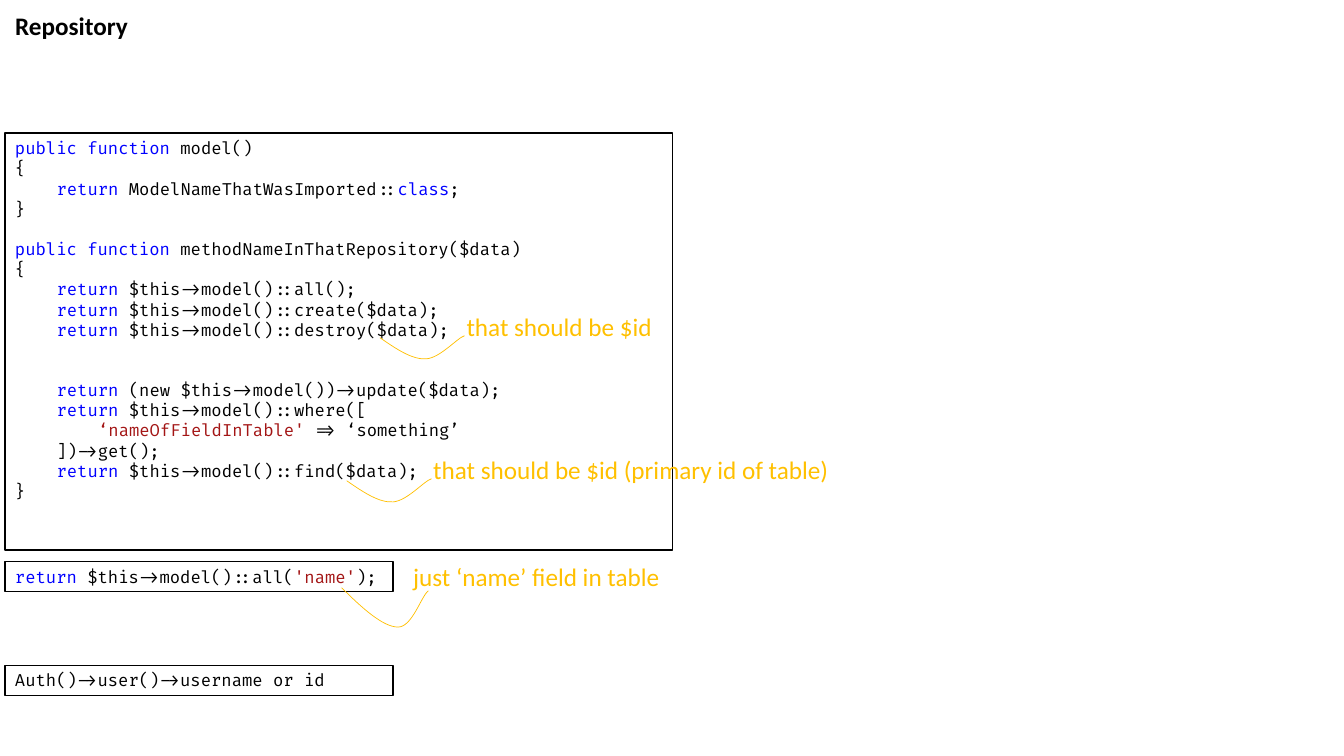
"""Build the slide on repository code snippets with their annotations."""

from dataclasses import dataclass

from lxml import etree
from pptx import Presentation
from pptx.dml.color import RGBColor
from pptx.enum.shapes import MSO_SHAPE
from pptx.enum.text import MSO_ANCHOR, MSO_AUTO_SIZE, PP_ALIGN
from pptx.oxml.ns import qn
from pptx.slide import Slide
from pptx.text.text import TextFrame
from pptx.util import Pt

RECTANGLE = MSO_SHAPE.RECTANGLE
TOP = MSO_ANCHOR.TOP
LEFT = PP_ALIGN.LEFT
NO_AUTO_SIZE = MSO_AUTO_SIZE.NONE

BLACK = RGBColor(0x00, 0x00, 0x00)
WHITE = RGBColor(0xFF, 0xFF, 0xFF)
BLUE = RGBColor(0x00, 0x00, 0xFF)
RED = RGBColor(0xA3, 0x15, 0x15)
AMBER = RGBColor(0xFF, 0xC0, 0x00)

TEXT_FONT = "Calibri"
CODE_FONT = "Fira Code"
TEXT_SIZE = 18
CODE_SIZE = 12
LINE_HEIGHT = 14.4
INDENT_WIDTH = 29.7
LEFT_EDGE = 3.6
TITLE_ONLY_LAYOUT = 5

Point = tuple[float, float]
Token = tuple[str, RGBColor]


@dataclass(frozen=True)
class CodeLine:
    """One line of code, its indent level and the empty lines above it."""

    tokens: tuple[Token, ...]
    level: int = 0
    lines_above: int = 0


@dataclass(frozen=True)
class CodeBox:
    """A framed block of code."""

    top: float
    width: float
    height: float
    lines: tuple[CodeLine, ...]


@dataclass(frozen=True)
class Annotation:
    """A remark and the curve that ties it to the code."""

    text: str
    left: float
    top: float
    width: float
    curve_start: Point
    curve_offsets: tuple[Point, ...]


def plain(text: str, level: int = 0) -> CodeLine:
    """Return a line without highlighted words."""
    return CodeLine(((text, BLACK),), level)


def returning(text: str, lines_above: int = 0) -> CodeLine:
    """Return an indented return statement."""
    return CodeLine((("return", BLUE), (text, BLACK)), 1, lines_above)


def function(signature: str, lines_above: int = 0) -> CodeLine:
    """Return the heading of a public function."""
    words = (("public", BLUE), (" ", BLACK), ("function", BLUE), (f" {signature}", BLACK))
    return CodeLine(words, 0, lines_above)


REPOSITORY_LINES = (
    function("model()"),
    plain("{"),
    CodeLine((("return", BLUE), (" ModelNameThatWasImported::", BLACK),
              ("class", BLUE), (";", BLACK)), 1),
    plain("}"),
    function("methodNameInThatRepository($data)", 1),
    plain("{"),
    returning(" $this->model()::all();"),
    returning(" $this->model()::create($data);"),
    returning(" $this->model()::destroy($data);"),
    returning(" (new $this->model())->update($data);", 2),
    returning(" $this->model()::where(["),
    CodeLine((("‘nameOfFieldInTable'", RED), (" => ‘something’", BLACK)), 2),
    plain("])->get();", 1),
    returning(" $this->model()::find($data);"),
    plain("}"),
)
NAME_LINE = CodeLine((("return", BLUE), (" $this->model()::all(", BLACK),
                      ("'name'", RED), (");", BLACK)))

CODE_BOXES = (
    CodeBox(95, 476.6, 298, REPOSITORY_LINES),
    CodeBox(401, 277.2, 21.6, (NAME_LINE,)),
    CodeBox(475.2, 277.2, 21.6, (plain("Auth()->user()->username or id"),)),
)

SHALLOW_CURVE = ((11.5, 7.9), (23, 15.8), (33.1, 15.1), (43.2, 14.4), (55.4, 0), (60.5, -1.4))
DEEP_CURVE = ((14.4, 14.4), (29.5, 28.1), (40.3, 28.1), (50.4, 28.1), (56.9, 5.8), (61.9, 2.2))

ANNOTATIONS = (
    Annotation("just ‘name’ field in table", 288, 397.4, 192, (244.1, 419.8), DEEP_CURVE),
    Annotation("that should be $id", 326.2, 218.9, 148.3, (271.4, 241.2), SHALLOW_CURVE),
    Annotation("that should be $id (primary id of table)", 302.4, 321.1, 300.2,
               (247.7, 343.4), SHALLOW_CURVE),
)


def set_up_frame(frame: TextFrame, wrap: bool) -> None:
    """Give a text frame its margins, anchor and wrapping."""
    frame.margin_left = frame.margin_right = Pt(7.2)
    frame.margin_top = frame.margin_bottom = Pt(3.6)
    frame.vertical_anchor = TOP
    frame.auto_size = NO_AUTO_SIZE
    frame.word_wrap = wrap


def write_text(frame: TextFrame, text: str, color: RGBColor, bold: bool = False) -> None:
    """Write a single line of ordinary text."""
    set_up_frame(frame, False)
    frame.text = text
    paragraph = frame.paragraphs[0]
    paragraph.alignment = LEFT
    font = paragraph.runs[0].font
    font.name, font.size, font.bold = TEXT_FONT, Pt(TEXT_SIZE), bold
    font.color.rgb = color


def add_title(slide: Slide, text: str) -> None:
    """Place and format the title placeholder."""
    title = slide.shapes.title
    title.left, title.top = Pt(LEFT_EDGE), Pt(3.6)
    title.width, title.height = Pt(95.8), Pt(28.8)
    write_text(title.text_frame, text, BLACK, True)


def add_code_box(slide: Slide, box: CodeBox) -> None:
    """Draw a framed block of highlighted code."""
    shape = slide.shapes.add_shape(
        RECTANGLE, Pt(LEFT_EDGE), Pt(box.top), Pt(box.width), Pt(box.height))
    shape.shadow.inherit = False
    shape.fill.solid()
    shape.fill.fore_color.rgb = WHITE
    shape.line.color.rgb = BLACK
    shape.line.width = Pt(1)
    frame = shape.text_frame
    set_up_frame(frame, True)
    for index, line in enumerate(box.lines):
        paragraph = frame.add_paragraph() if index else frame.paragraphs[0]
        paragraph.alignment = LEFT
        paragraph.space_before = Pt(line.lines_above * LINE_HEIGHT)
        properties = paragraph._p.get_or_add_pPr()
        properties.set("marL", str(Pt(line.level * INDENT_WIDTH)))
        properties.set("indent", "0")
        for text, color in line.tokens:
            run = paragraph.add_run()
            run.text = text
            run.font.name, run.font.size = CODE_FONT, Pt(CODE_SIZE)
            run.font.color.rgb = color


def add_curve(slide: Slide, start: Point, offsets: tuple[Point, ...]) -> None:
    """Draw cubic curves, each given by two control points and an end."""
    x, y = start
    builder = slide.shapes.build_freeform(Pt(x), Pt(y))
    builder.add_line_segments([(Pt(x + dx), Pt(y + dy)) for dx, dy in offsets], close=False)
    shape = builder.convert_to_shape()
    shape.shadow.inherit = False
    shape.fill.background()
    shape.line.color.rgb = AMBER
    shape.line.width = Pt(0.5)
    outline = next(shape.element.iter(qn("a:path")))
    segments = outline.findall(qn("a:lnTo"))
    for first in range(0, len(segments), 3):
        curve = etree.SubElement(outline, qn("a:cubicBezTo"))
        for segment in segments[first:first + 3]:
            curve.append(segment[0])
            outline.remove(segment)


def add_annotation(slide: Slide, annotation: Annotation) -> None:
    """Draw a remark with its curve."""
    add_curve(slide, annotation.curve_start, annotation.curve_offsets)
    box = slide.shapes.add_textbox(
        Pt(annotation.left), Pt(annotation.top), Pt(annotation.width), Pt(28.8))
    write_text(box.text_frame, annotation.text, AMBER)


def main() -> None:
    """Build and save the presentation."""
    presentation = Presentation()
    presentation.slide_width, presentation.slide_height = Pt(960), Pt(540)
    slide = presentation.slides.add_slide(presentation.slide_layouts[TITLE_ONLY_LAYOUT])
    add_title(slide, "Repository")
    for box in CODE_BOXES:
        add_code_box(slide, box)
    for annotation in ANNOTATIONS:
        add_annotation(slide, annotation)
    presentation.save("out.pptx")


if __name__ == "__main__":
    main()
